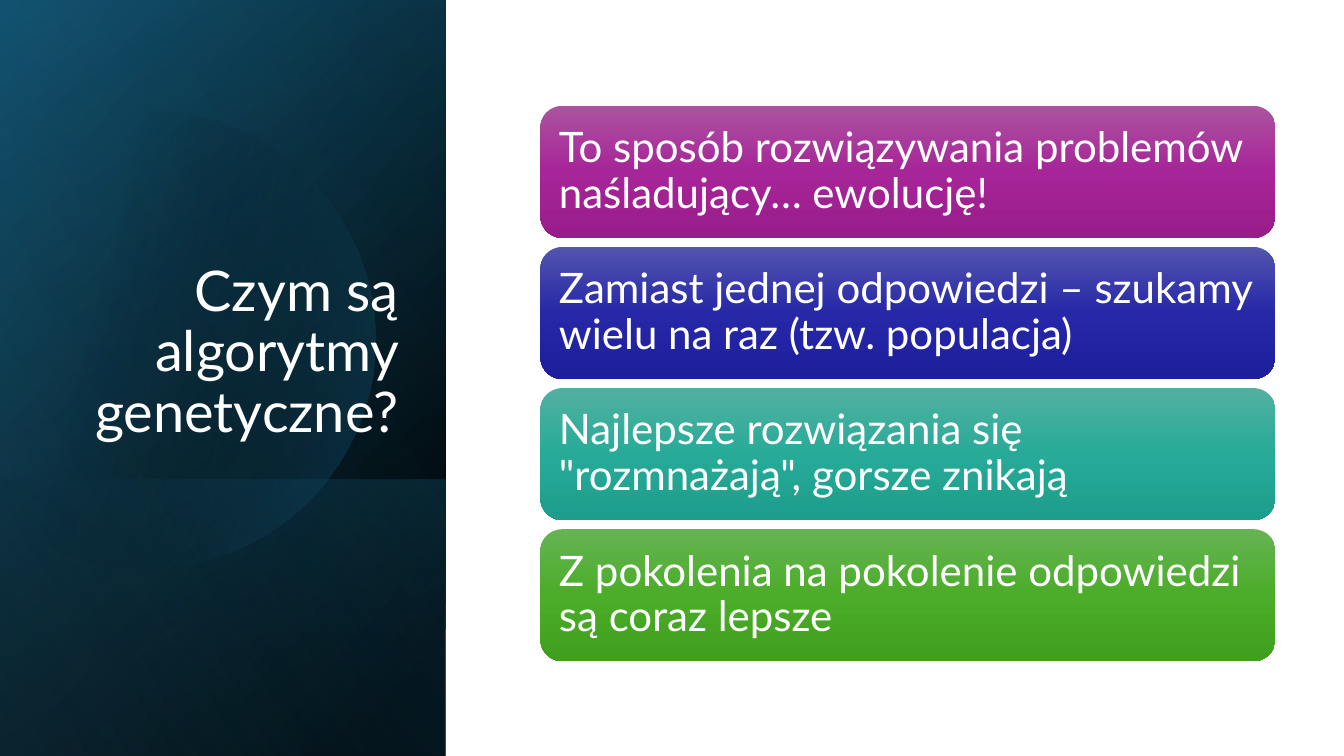
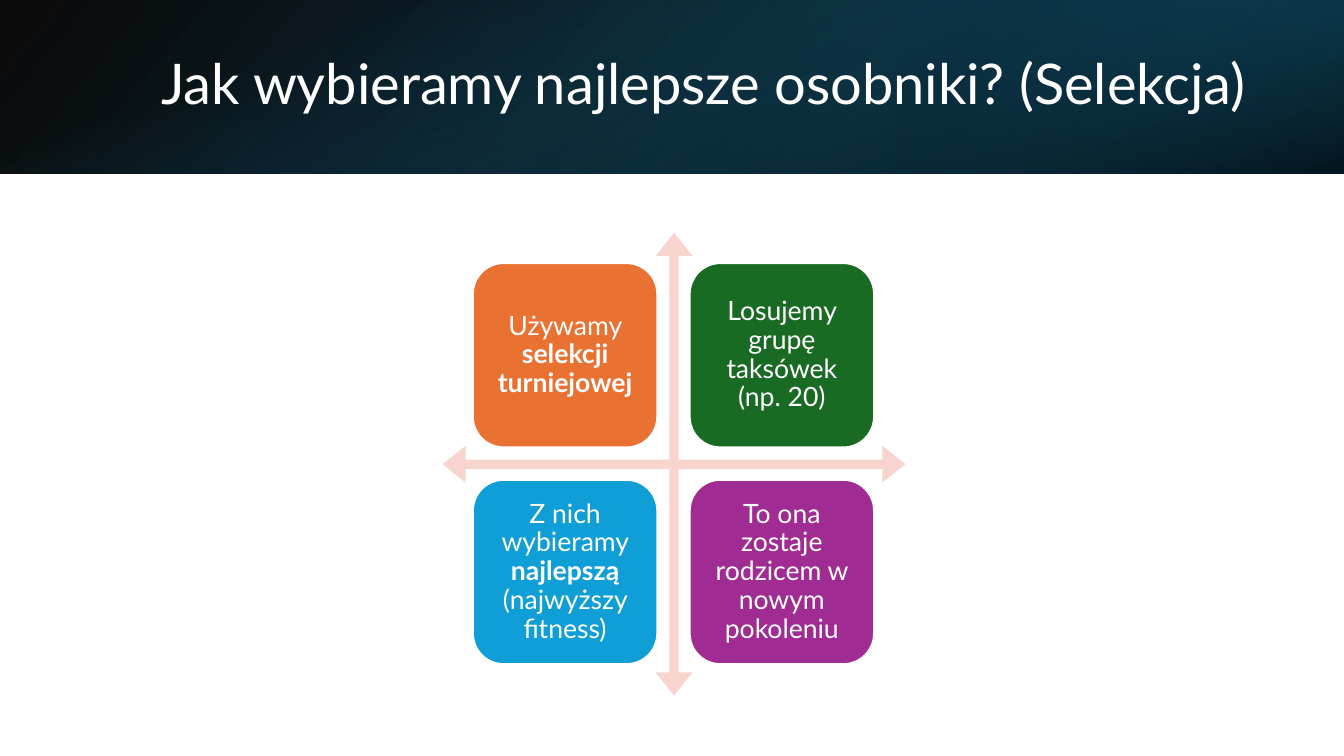
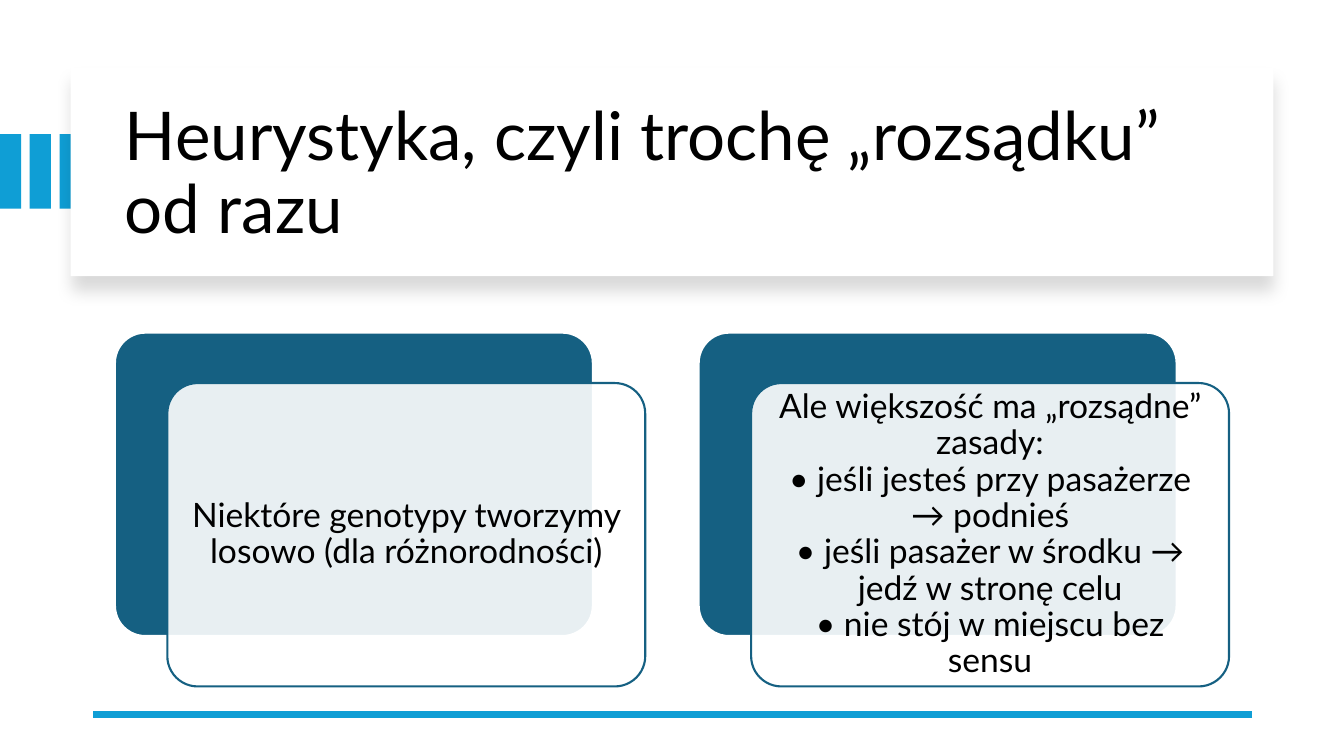
from math import cos, sin, radians
from pptx import Presentation
from pptx.dml.color import RGBColor as Rgb
from pptx.enum.shapes import MSO_CONNECTOR as Link, MSO_SHAPE as Kind
from pptx.enum.text import MSO_ANCHOR as Anchor, PP_ALIGN as Align
from pptx.oxml import parse_xml
from pptx.oxml.ns import nsdecls, qn
from pptx.util import Inches as In, Pt

W, H = 13.33, 7.5
FONT = "Lato"
WHITE, BLACK = "FFFFFF", "000000"
NAVY, TEAL, SKY = "104862", "156082", "0F9ED5"


def paint(fill, tone, ang=0):
    fill.solid()
    if isinstance(tone, str):
        fill.fore_color.rgb = Rgb.from_string(tone)
        return
    stops = "".join(
        f'<a:gs pos="{pos * 1000}"><a:srgbClr val="{hue}">'
        f'<a:alpha val="{alpha * 1000}"/></a:srgbClr></a:gs>'
        for pos, hue, alpha in tone)
    grad = parse_xml(
        f'<a:gradFill {nsdecls("a")} rotWithShape="1"><a:gsLst>{stops}</a:gsLst>'
        f'<a:lin ang="{ang * 60000}" scaled="0"/></a:gradFill>')
    props = fill._xPr
    props.replace(props.find(qn("a:solidFill")), grad)


def put(page, kind, box, tone=None, ang=0, turn=0, flip=False, edge=None,
        runs=(), size=24, ink=WHITE, align=Align.LEFT, pad=0.1,
        anchor=Anchor.MIDDLE):
    x, y, w, h = box
    if turn == 90:
        x, y, w, h = x + (w - h) / 2, y + (h - w) / 2, h, w
    area = [In(v) for v in (x, y, w, h)]
    if kind is None:
        item = page.shapes.add_textbox(*area)
    else:
        item = page.shapes.add_shape(kind, *area)
        item.shadow.inherit = False
        paint(item.fill, tone, ang)
        if edge:
            paint(item.line.fill, edge)
            item.line.width = Pt(1.5)
        else:
            item.line.fill.background()
    item.rotation = turn
    if flip:
        item._element.spPr.get_or_add_xfrm().set("flipH", "1")
    if runs:
        frame = item.text_frame
        frame.word_wrap = True
        frame.vertical_anchor = anchor
        frame.margin_left = frame.margin_right = In(pad)
        frame.margin_top = frame.margin_bottom = In(pad)
        para = frame.paragraphs[0]
        para.alignment = align
        para.line_spacing = 0.9
        for words, bold in runs:
            for row, line in enumerate(words.split("\n")):
                if row:
                    para.add_line_break()
                run = para.add_run()
                run.text = line
                run.font.name = FONT
                run.font.size = Pt(size)
                run.font.bold = bold
                paint(run.font.fill, ink)
    return item


deck = Presentation()
deck.slide_width, deck.slide_height = In(W), In(H)
first, second, third = [deck.slides.add_slide(deck.slide_layouts[6]) for _ in range(3)]

side = 4.42
panel = (0, 0, side, H)
low = (0, H - 2.74, side, 2.74)
for box, tone, ang in [
    (panel, [(8, BLACK, 100), (100, NAVY, 100)], 50),
    (panel, [(0, BLACK, 0), (99, TEAL, 46)], 30),
    (low, [(2, TEAL, 29), (100, BLACK, 30)], 130),
]:
    put(first, Kind.RECTANGLE, box, tone, ang, turn=90, flip=True)

mid, rad = (1.45, 3.37), 2.27
dots = [(In(mid[0] + rad * cos(radians(a))), In(mid[1] + rad * sin(radians(a))))
        for a in range(-129, 130, 3)]
pen = first.shapes.build_freeform(*dots[0])
pen.add_line_segments(dots[1:], close=True)
disc = pen.convert_to_shape()
disc.shadow.inherit = False
disc.line.fill.background()
paint(disc.fill, [(29, BLACK, 0), (100, TEAL, 43)], 14)

put(first, Kind.RECTANGLE, panel, [(0, BLACK, 0), (99, "46B1E1", 11)], 120,
    turn=90, flip=True)
put(first, None, (0.64, 1.84, 3.41, 2.67), runs=[("Czym są algorytmy genetyczne?", False)],
    size=40, align=Align.RIGHT, anchor=Anchor.BOTTOM)

cards = [
    ("To sposób rozwiązywania problemów naśladujący… ewolucję!",
     ("AC53A0", "A62598", "991C8B")),
    ("Zamiast jednej odpowiedzi – szukamy wielu na raz (tzw. populacja)",
     ("5354AE", "2628A8", "1D1E9B")),
    ("Najlepsze rozwiązania się \"rozmnażają\", gorsze znikają",
     ("53B0A1", "27AB98", "1D9D8B")),
    ("Z pokolenia na pokolenie odpowiedzi są coraz lepsze",
     ("66B354", "4BAD28", "409F1E")),
]
for row, (words, hues) in enumerate(cards):
    tone = [(50 * i, hue, 100) for i, hue in enumerate(hues)]
    put(first, Kind.ROUNDED_RECTANGLE, (5.36, 1.05 + 1.4 * row, 7.29, 1.31), tone, 90,
        runs=[(words, False)], size=30, pad=0.12)

band = 1.72
for box, tone, ang, turn, flip in [
    ((0, 0, W, band), [(0, BLACK, 96), (100, NAVY, 100)], 140, 0, True),
    ((W * 2 / 3, 0, W / 3, band), [(19, "0B3041", 68), (100, TEAL, 79)], 320, 180, True),
    ((0, 0, W, band), [(23, TEAL, 0), (99, BLACK, 74)], 340, 90, False),
]:
    put(second, Kind.RECTANGLE, box, tone, ang, turn, flip)
put(second, None, (1.5, 0.38, 10.98, 0.96), size=40,
    runs=[("Jak wybieramy najlepsze osobniki? (Selekcja)", False)])

cross = put(second, Kind.QUAD_ARROW, (4.39, 2.31, 4.59, 4.59), "F7D5CE")
for i, share in enumerate((0.02, 0.04, 0.05)):
    cross.adjustments[i] = share

tiles = [
    ("E97132", [("Używamy ", False), ("selekcji turniejowej", True)]),
    ("196B24", [("Losujemy grupę taksówek (np. 20)", False)]),
    (SKY, [("Z nich wybieramy ", False), ("najlepszą", True), (" (najwyższy fitness)", False)]),
    ("A02B93", [("To ona zostaje rodzicem w nowym pokoleniu", False)]),
]
for i, (tone, runs) in enumerate(tiles):
    row, col = divmod(i, 2)
    put(second, Kind.ROUNDED_RECTANGLE, (4.69 + 2.15 * col, 2.61 + 2.15 * row, 1.83, 1.83),
        tone, edge=WHITE, runs=runs, size=19, align=Align.CENTER, pad=0.08)

for col in range(3):
    put(third, Kind.RECTANGLE, (0.295 * col, 1.33, 0.21, 0.74), SKY)
plate = put(third, Kind.RECTANGLE, (0.7, 0.67, 11.93, 2.07), WHITE)
props = plate._element.spPr
props.replace(props.find(qn("a:effectLst")), parse_xml(
    f'<a:effectLst {nsdecls("a")}><a:outerShdw blurRad="{Pt(11)}" dist="{Pt(10)}" '
    f'dir="5400000" algn="t" rotWithShape="0"><a:srgbClr val="{BLACK}">'
    '<a:alpha val="15000"/></a:srgbClr></a:outerShdw></a:effectLst>'))
put(third, None, (1.14, 0.89, 11.13, 1.7), size=48, ink=BLACK,
    runs=[("Heurystyka, czyli trochę „rozsądku” od razu", False)])

rule = third.shapes.add_connector(Link.STRAIGHT, In(12.42), In(7.09), In(0.92), In(7.09))
paint(rule.line.fill, SKY)
rule.line.width = Pt(4.5)
rule._element.spPr.append(parse_xml(f'<a:effectLst {nsdecls("a")}/>'))

notes = [
    "Niektóre genotypy tworzymy losowo (dla różnorodności)",
    "Ale większość ma „rozsądne” zasady:\n"
    "• jeśli jesteś przy pasażerze → podnieś\n"
    "• jeśli pasażer w środku → jedź w stronę celu\n"
    "• nie stój w miejscu bez sensu",
]
glass = [(0, WHITE, 90), (100, WHITE, 90)]
for col, words in enumerate(notes):
    x = 1.14 + 5.79 * col
    back = put(third, Kind.ROUNDED_RECTANGLE, (x, 3.3, 4.74, 3.01), TEAL, edge=WHITE)
    front = put(third, Kind.ROUNDED_RECTANGLE, (x + 0.52, 3.8, 4.74, 3.01), glass,
                edge=TEAL, runs=[(words, False)], ink=BLACK, align=Align.CENTER)
    back.adjustments[0] = front.adjustments[0] = 0.1

deck.save("out.pptx")
